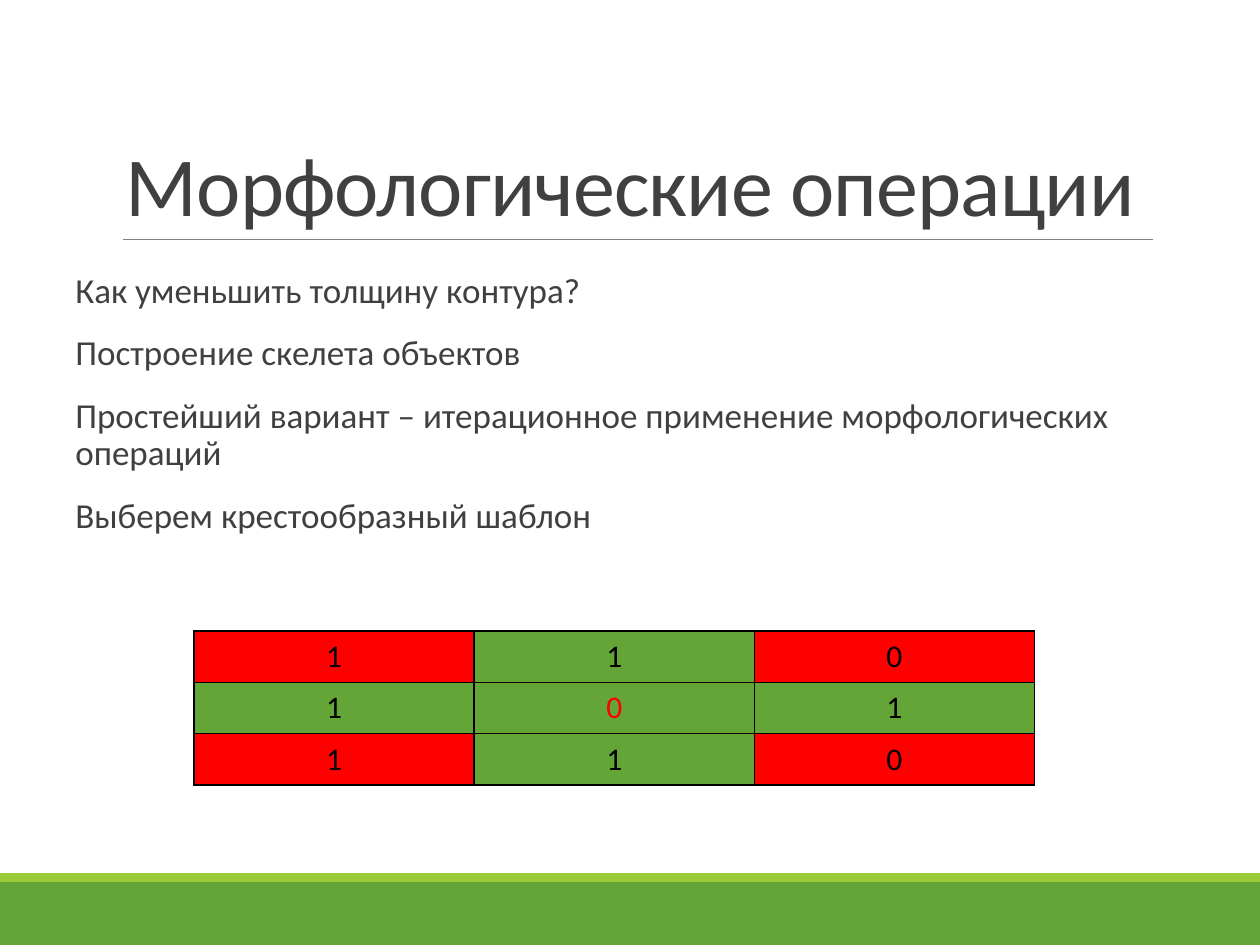
from lxml import etree
from pptx import Presentation
from pptx.dml.color import RGBColor
from pptx.enum.shapes import MSO_CONNECTOR, MSO_SHAPE
from pptx.enum.text import MSO_ANCHOR, PP_ALIGN
from pptx.oxml.ns import qn
from pptx.util import Inches, Pt

LINE = MSO_CONNECTOR.STRAIGHT
RECT = MSO_SHAPE.RECTANGLE
TOP, MIDDLE, BOTTOM = MSO_ANCHOR.TOP, MSO_ANCHOR.MIDDLE, MSO_ANCHOR.BOTTOM
LEFT, CENTER = PP_ALIGN.LEFT, PP_ALIGN.CENTER

FONT = "Calibri"
COLORS = {
    "green": "63A537",
    "lime": "99CB38",
    "gray": "808080",
    "dark": "404040",
    "red": "FF0000",
    "black": "000000",
}
TITLE = "Морфологические операции"
POINTS = [
    "Как уменьшить толщину контура?",
    "Построение скелета объектов",
    "Простейший вариант – итерационное применение морфологических операций",
    "Выберем крестообразный шаблон",
]
MASK = ["110", "101", "110"]


def color(name):
    return RGBColor.from_string(COLORS[name])


def write(frame, lines, size=18, ink="black", align=LEFT, lead=1.0,
          before=0, after=0, track=0):
    for i, line in enumerate(lines):
        para = frame.add_paragraph() if i else frame.paragraphs[0]
        para.alignment = align
        para.line_spacing = lead
        para.space_before, para.space_after = Pt(before), Pt(after)
        run = para.add_run()
        run.text = line
        run.font.name, run.font.size = FONT, Pt(size)
        run.font.color.rgb = color(ink)
        if track:
            run.font._element.set("spc", str(int(track * 100)))


def add_text(slide, box, lines, anchor=TOP, side=0.1, **style):
    frame = slide.shapes.add_textbox(*map(Inches, box)).text_frame
    frame.word_wrap = True
    frame.vertical_anchor = anchor
    frame.margin_left = Inches(side)
    write(frame, lines, **style)
    return frame


def add_bar(slide, top, height, tint):
    bar = slide.shapes.add_shape(
        RECT, 0, Inches(top), Inches(10), Inches(height))
    bar.shadow.inherit = False
    bar.fill.solid()
    bar.fill.fore_color.rgb = color(tint)
    bar.line.fill.background()


def add_rule(slide, left, right, top):
    rule = slide.shapes.add_connector(
        LINE, Inches(left), Inches(top), Inches(right), Inches(top))
    rule.line.color.rgb = color("gray")
    rule.line.width = Pt(0.5)
    etree.SubElement(rule._element.spPr, qn("a:effectLst"))


def add_border(cell):
    props = cell._tc.get_or_add_tcPr()
    for side in ("lnL", "lnR", "lnT", "lnB"):
        edge = etree.SubElement(props, qn("a:" + side), w=str(Pt(1)))
        fill = etree.SubElement(edge, qn("a:solidFill"))
        etree.SubElement(fill, qn("a:srgbClr"), val=COLORS["black"])


def add_mask(slide, box):
    count = len(MASK)
    table = slide.shapes.add_table(
        count, count, *map(Inches, box)).table
    table.first_row = table.horz_banding = False
    mid = count // 2
    for r, digits in enumerate(MASK):
        for c, digit in enumerate(digits):
            cell = table.cell(r, c)
            add_border(cell)
            cell.fill.solid()
            cross = mid in (r, c)
            cell.fill.fore_color.rgb = color("green" if cross else "red")
            cell.vertical_anchor = MIDDLE
            ink = "red" if r == c == mid else "black"
            write(cell.text_frame, [digit], ink=ink, align=CENTER)


def main():
    deck = Presentation()
    deck.slide_width, deck.slide_height = Inches(10), Inches(7.5)
    slide = deck.slides.add_slide(deck.slide_layouts[6])
    add_bar(slide, 7, 0.5, "green")
    add_bar(slide, 6.93, 0.07, "lime")
    add_rule(slide, 0.98, 9.15, 1.9)
    add_text(slide, (0.9, 0.31, 8.25, 1.59), [TITLE], anchor=BOTTOM,
             size=48, ink="dark", lead=0.85, track=-0.5)
    body = add_text(slide, (0.5, 2.12, 9, 2.5), POINTS, size=20,
                    ink="dark", lead=0.9, before=12, after=2)
    body.margin_right = 0
    add_mask(slide, (1.54, 5.01, 6.67, 1.22))
    deck.save("out.pptx")


main()
